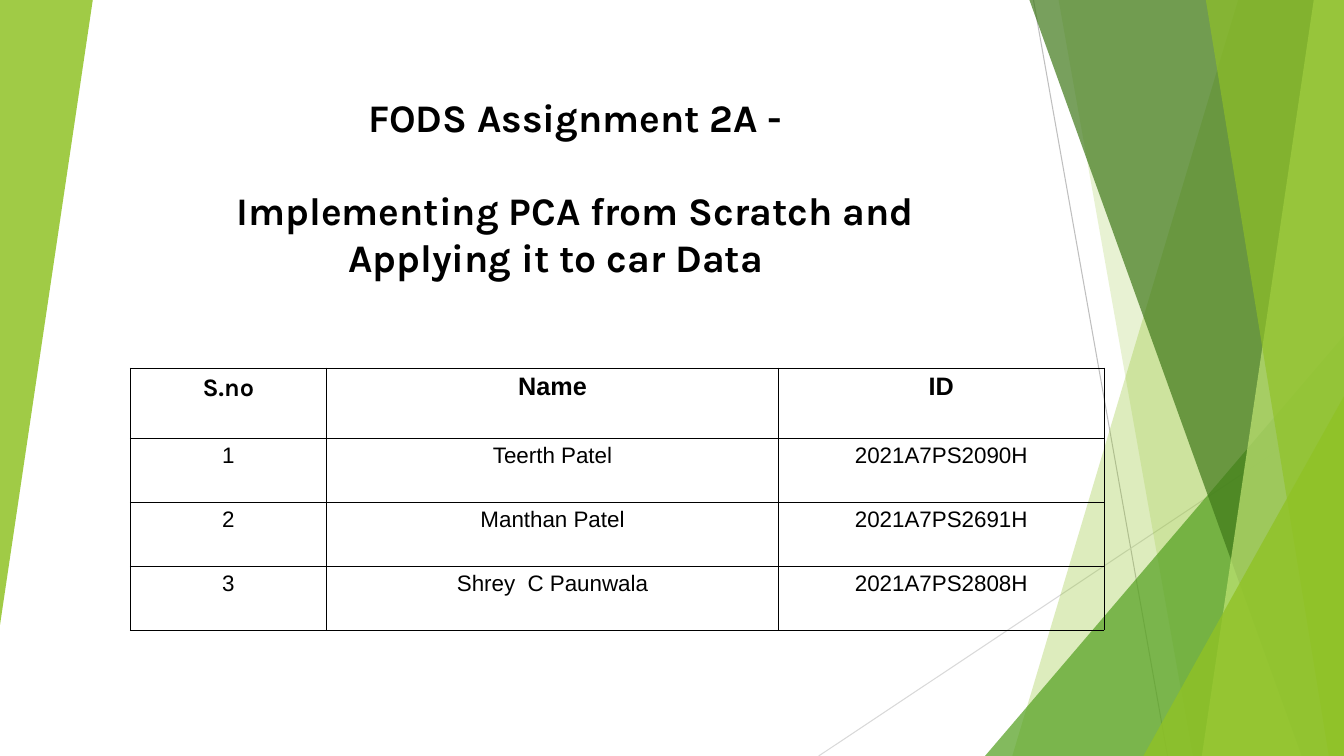
from lxml.etree import SubElement
from pptx import Presentation
from pptx.dml.color import RGBColor
from pptx.enum.shapes import MSO_CONNECTOR, MSO_SHAPE
from pptx.enum.text import MSO_ANCHOR, MSO_AUTO_SIZE, PP_ALIGN
from pptx.oxml.ns import qn
from pptx.util import Inches, Pt

WIDTH, HEIGHT = 13.33, 7.5
COLORS = {
    "text": "000000",
    "border": "000000",
    "dark_ray": "BFBFBF",
    "light_ray": "D9D9D9",
    "lime": "90C226",
    "green": "54A021",
    "forest": "3F7819",
    "pale": "C0E474",
}
MEMBERS = [
    ("S.no", "Name", "ID"),
    ("1", "Teerth Patel", "2021A7PS2090H"),
    ("2", "Manthan Patel", "2021A7PS2691H"),
    ("3", "Shrey  C Paunwala", "2021A7PS2808H"),
]


def rgb(color):
    """Return the named palette colour."""
    return RGBColor.from_string(COLORS[color])


def write(paragraph, text, *, size, font="Arial", bold=False, before=0):
    """Fill a centred paragraph with one formatted run."""
    paragraph.alignment = PP_ALIGN.CENTER
    paragraph.space_before = Pt(before)
    run = paragraph.add_run()
    run.text = text
    run.font.name = font
    run.font.size = Pt(size)
    run.font.bold = bold
    run.font.color.rgb = rgb("text")


def tint(facet, color, opacity):
    """Give a facet a translucent fill without outline or shadow."""
    facet.shadow.inherit = False
    facet.line.fill.background()
    facet.fill.solid()
    facet.fill.fore_color.rgb = rgb(color)
    fill_color = facet.fill._xPr.find(qn("a:solidFill"))[0]
    SubElement(fill_color, qn("a:alpha"), val=str(opacity * 1000))


def add_ray(slide, start, end, color):
    """Draw a thin straight ray between two points."""
    ray = slide.shapes.add_connector(
        MSO_CONNECTOR.STRAIGHT, *map(Inches, (*start, *end)))
    ray.line.color.rgb = rgb(color)
    ray.line.width = Pt(0.75)
    SubElement(ray._element.spPr, qn("a:effectLst"))


def add_band(slide, top_x, bottom_x, color, opacity):
    """Draw a full-height band from a slanted edge to the right margin."""
    outline = slide.shapes.build_freeform(Inches(top_x), 0)
    corners = [(WIDTH, 0), (WIDTH, HEIGHT), (bottom_x, HEIGHT)]
    outline.add_line_segments([(Inches(x), Inches(y)) for x, y in corners])
    tint(outline.convert_to_shape(), color, opacity)


def add_wedge(slide, left, top, width, height, color, opacity, rotation=0):
    """Draw a right-angled wedge in the given box."""
    wedge = slide.shapes.add_shape(
        MSO_SHAPE.ISOSCELES_TRIANGLE, *map(Inches, (left, top, width, height)))
    wedge.adjustments[0] = 1
    wedge.rotation = rotation
    tint(wedge, color, opacity)


def add_corner_wedge(slide, width, height, color, opacity):
    """Draw a wedge in the bottom right corner."""
    add_wedge(slide, WIDTH - width, HEIGHT - height, width, height, color, opacity)


def add_facets(slide):
    """Draw the green facets along both sides of the slide."""
    add_ray(slide, (10.25, 0), (11.58, HEIGHT), "dark_ray")
    add_ray(slide, (WIDTH, 4.03), (8.12, HEIGHT), "light_ray")
    add_band(slide, 12.28, 10.04, "lime", 30)
    add_band(slide, 10.5, 11.83, "lime", 20)
    add_corner_wedge(slide, 3.56, 4.17, "green", 72)
    add_band(slide, 10.21, 12.91, "forest", 70)
    add_band(slide, 13.03, 11.92, "pale", 70)
    add_band(slide, 11.96, 13.18, "lime", 65)
    add_corner_wedge(slide, 1.99, 3.57, "lime", 80)
    add_wedge(slide, 0, 0, 0.92, 6.2, "lime", 85, rotation=180)


def add_heading(slide, left, top, width, height):
    """Place the two-part title, resting on the bottom of its box."""
    title = slide.shapes.title
    title.left, title.top = Inches(left), Inches(top)
    title.width, title.height = Inches(width), Inches(height)
    frame = title.text_frame
    frame.word_wrap = True
    frame.auto_size = MSO_AUTO_SIZE.NONE
    frame.vertical_anchor = MSO_ANCHOR.BOTTOM
    style = {"size": 27.9, "font": "Karla", "bold": True}
    write(frame.paragraphs[0], "FODS Assignment 2A -", **style)
    write(frame.add_paragraph(),
          "Implementing PCA from Scratch and Applying it to car Data\t",
          before=33, **style)


def add_borders(cell):
    """Outline a cell with thin lines."""
    properties = cell._tc.get_or_add_tcPr()
    for position, side in enumerate(("lnL", "lnR", "lnT", "lnB")):
        edge = properties.makeelement(qn(f"a:{side}"), {"w": str(Pt(0.5))})
        properties.insert(position, edge)
        fill = SubElement(edge, qn("a:solidFill"))
        SubElement(fill, qn("a:srgbClr"), val=COLORS["border"])


def add_members(slide, left, top, width, height):
    """Place the table of group members in the given box."""
    header_height = 0.7
    row_height = (height - header_height) / (len(MEMBERS) - 1)
    table = slide.shapes.add_table(
        len(MEMBERS), len(MEMBERS[0]),
        *map(Inches, (left, top, width, height))).table
    table.first_row = table.horz_banding = False
    for column, share in zip(table.columns, (1.95, 4.48, 3.23)):
        column.width = Inches(share)
    for r, member in enumerate(MEMBERS):
        header = r == 0
        table.rows[r].height = Inches(header_height if header else row_height)
        for c, entry in enumerate(member):
            cell = table.cell(r, c)
            cell.margin_left = cell.margin_right = Inches(0.07)
            cell.margin_top = cell.margin_bottom = Inches(0.05)
            cell.fill.background()
            add_borders(cell)
            write(cell.text_frame.paragraphs[0], entry,
                  size=18 if header else 16, bold=header,
                  font="Karla" if header and c == 0 else "Arial")


def main():
    """Build the title slide and save it."""
    deck = Presentation()
    deck.slide_width, deck.slide_height = Inches(WIDTH), Inches(HEIGHT)
    slide = deck.slides.add_slide(deck.slide_layouts[5])
    add_facets(slide)
    add_heading(slide, 1.46, 0.9, 8.49, 1.93)
    add_members(slide, 1.29, 3.65, 9.66, 2.6)
    deck.save("out.pptx")


if __name__ == "__main__":
    main()
